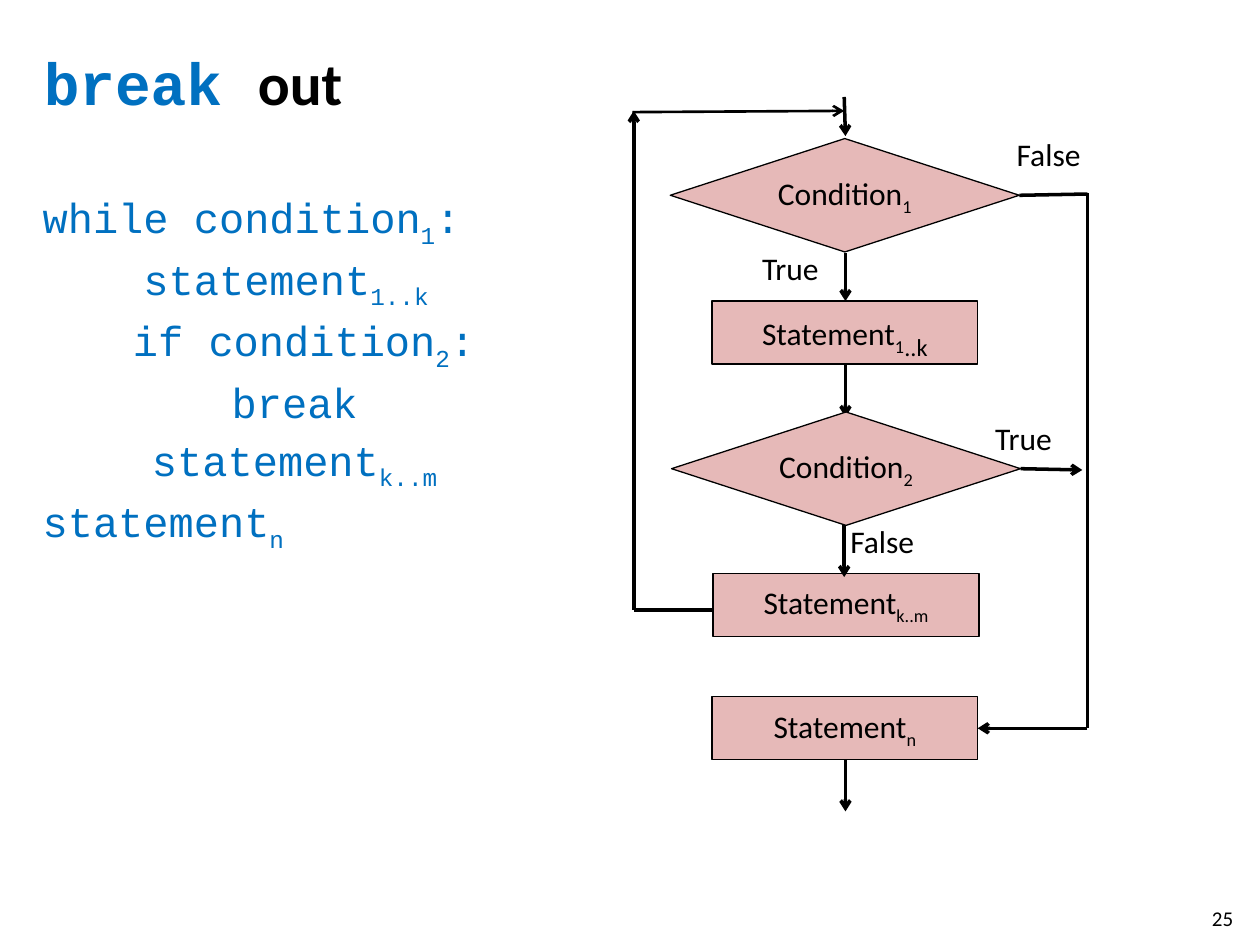
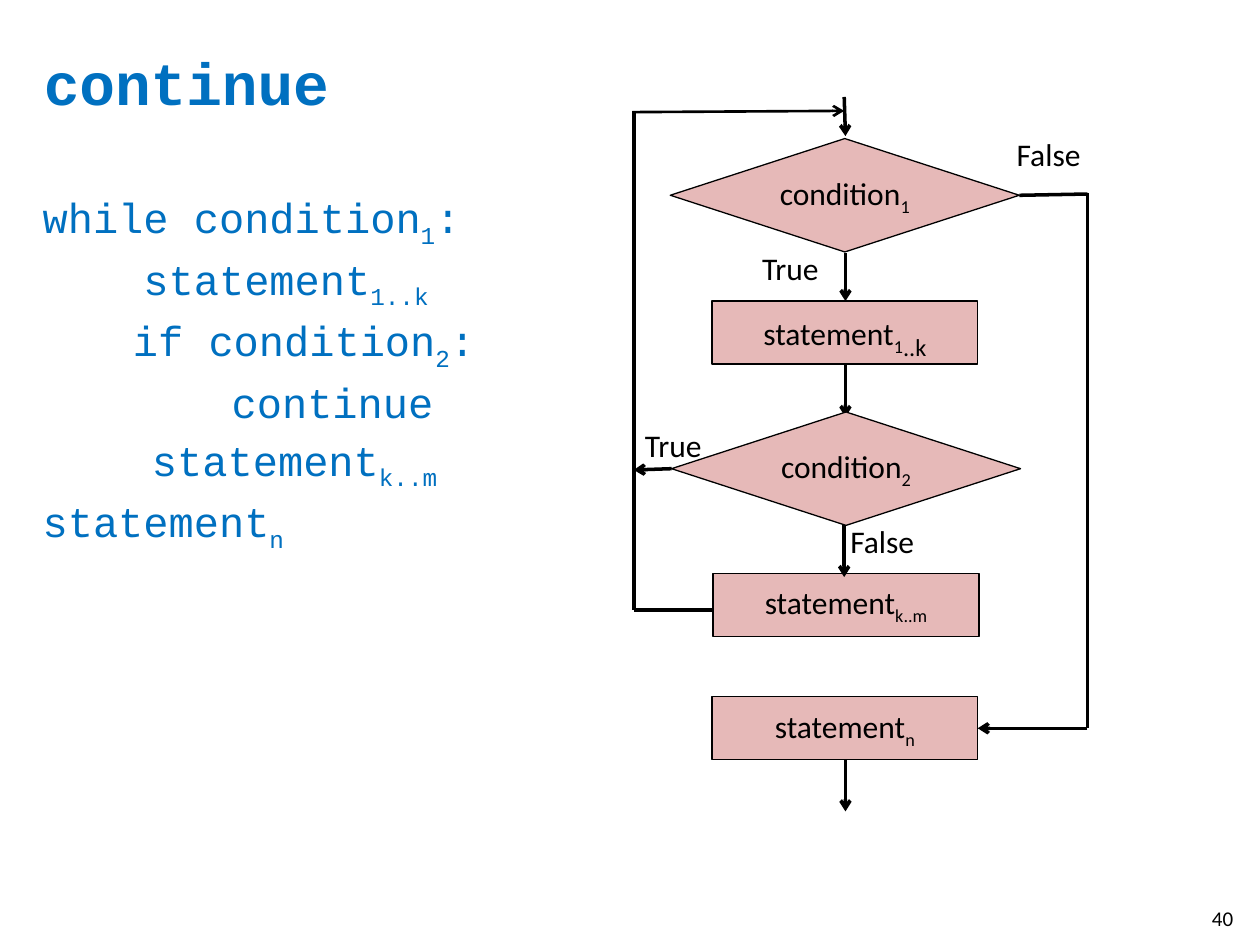
from dataclasses import dataclass
from itertools import pairwise

from lxml.etree import SubElement
from pptx import Presentation
from pptx.dml.color import RGBColor
from pptx.enum.shapes import MSO_CONNECTOR, MSO_SHAPE
from pptx.enum.text import MSO_ANCHOR, PP_ALIGN
from pptx.oxml.ns import qn
from pptx.util import Inches, Pt

HUES = {"ink": "000000", "code": "0070C0", "node": "E6B9B8"}
SANS, MONO = "Calibri", "Courier New"
BOX, ASK = MSO_SHAPE.RECTANGLE, MSO_SHAPE.FLOWCHART_DECISION
SIZES = {BOX: (2.11, 0.5), ASK: (2.77, 0.9)}


@dataclass
class Bit:
    text: str
    size: float = 18
    sub: bool = False
    face: str = SANS
    hue: str = "ink"
    bold: bool = False


@dataclass
class Node:
    kind: MSO_SHAPE
    left: float
    top: float
    name: str
    subs: list[Bit]


@dataclass
class Route:
    spots: list[tuple[float, float]]
    head: bool = True
    width: float = 2


@dataclass
class Label:
    text: str
    left: float
    top: float


@dataclass
class Page:
    title: list[Bit]
    number: str
    word: str
    names: tuple[str, str]
    back: bool
    exit: Label
    jump: Route


def color(hue: str) -> RGBColor:
    return RGBColor.from_string(HUES[hue])


def write(para, bits: list[Bit]) -> None:
    for bit in bits:
        run = para.add_run()
        run.text = bit.text
        font = run.font
        font.name, font.size, font.bold = bit.face, Pt(bit.size), bit.bold
        font.color.rgb = color(bit.hue)
        if bit.sub:
            run._r.get_or_add_rPr().set("baseline", "-25000")


def add_text(slide, at: tuple, bits: list[Bit], wrap: bool = False):
    frame = slide.shapes.add_textbox(*map(Inches, at)).text_frame
    frame.word_wrap = wrap
    write(frame.paragraphs[0], bits)
    return frame


def add_node(slide, node: Node) -> None:
    place = (node.left, node.top, *SIZES[node.kind])
    shape = slide.shapes.add_shape(node.kind, *map(Inches, place))
    shape.shadow.inherit = False
    shape.fill.solid()
    shape.fill.fore_color.rgb = color("node")
    shape.line.color.rgb = color("ink")
    shape.line.width = Pt(0.75)
    frame = shape.text_frame
    frame.vertical_anchor = MSO_ANCHOR.MIDDLE
    frame.paragraphs[0].alignment = PP_ALIGN.CENTER
    write(frame.paragraphs[0], [Bit(node.name), *node.subs])


def add_route(slide, route: Route) -> None:
    for start, end in pairwise(route.spots):
        line = slide.shapes.add_connector(
            MSO_CONNECTOR.STRAIGHT, *map(Inches, (*start, *end)))
        line.line.color.rgb = color("ink")
        line.line.width = Pt(route.width)
        props = line._element.spPr
        SubElement(props, qn("a:effectLst"))
        if route.head and end == route.spots[-1]:
            SubElement(props.find(qn("a:ln")), qn("a:tailEnd"), type="arrow")


def code(text: str, sub: bool = False, size: float = 24) -> Bit:
    return Bit(text, size, sub, MONO, "code")


def add_code(slide, word: str) -> None:
    rows = [
        [code("while condition"), code("1", True), code(":")],
        [code("    statement"), code("1..k", True)],
        [code(" ", True), code("   if condition"), code("2", True), code(":")],
        [code("     " + word)],
        [code("    ", size=26), code("statement"), code("k..m", True)],
        [code("statement"), code("n", True)],
    ]
    frame = add_text(slide, (0.24, 1.42, 4.7, 3), rows[0], True)
    frame.margin_top = Inches(0.1)
    for row in rows[1:]:
        para = frame.add_paragraph()
        para.space_before = Pt(2.4)
        if row == rows[3]:
            para._p.get_or_add_pPr().set("marL", str(Inches(0.5)))
        write(para, row)


def add_flow(slide, page: Page) -> None:
    ask, act = page.names
    nodes = [
        Node(BOX, 5.65, 2.39, act, [Bit("1", sub=True), Bit("..k", 24, True)]),
        Node(ASK, 5.32, 1.1, ask, [Bit("1", sub=True)]),
        Node(BOX, 5.65, 5.53, act, [Bit("n", sub=True)]),
        Node(ASK, 5.33, 3.27, ask, [Bit("2", sub=True)]),
        Node(BOX, 5.66, 4.55, act, [Bit("k..m", sub=True)]),
    ]
    routes = [
        Route([(6.7, 0.77), (6.71, 1.08)]),
        Route([(6.71, 2.01), (6.71, 2.39)]),
        Route([(6.7, 4.17), (6.7, 4.58)]),
        Route([(6.71, 6.03), (6.71, 6.44)]),
        # Loop back to the first test
        Route([(5.65, 4.84), (5.03, 4.84), (5.03, 0.88)], page.back),
        Route([(5.02, 0.89), (6.7, 0.88)], width=1.5),
        # Way out of the loop
        Route([(8.09, 1.55), (8.63, 1.54)], False),
        Route([(8.63, 1.53), (8.63, 5.78), (7.76, 5.78)]),
        page.jump,
    ]
    labels = [Label("True", 5.95, 1.93), Label("False", 7.97, 1.02),
              Label("False", 6.65, 4.09), page.exit]

    # This arrow's tip sits beneath the second test
    add_route(slide, Route([(6.71, 2.89), (6.71, 3.31)]))
    for node in nodes:
        add_node(slide, node)
    for route in routes:
        add_route(slide, route)
    for label in labels:
        add_text(slide, (label.left, label.top, 0.81, 0.4), [Bit(label.text)])


def add_page(deck, page: Page) -> None:
    slide = deck.slides.add_slide(deck.slide_layouts[6])
    head = add_text(slide, (0.25, 0.3, 8.67, 0.7), page.title, True)
    head.vertical_anchor = MSO_ANCHOR.MIDDLE
    add_code(slide, page.word)
    add_flow(slide, page)
    add_text(slide, (9.52, 7.14, 0.4, 0.24), [Bit(page.number, 12)])


def main() -> None:
    deck = Presentation()
    deck.slide_width, deck.slide_height = Inches(10), Inches(7.5)
    pages = [
        Page([Bit("break ", 34, face=MONO, hue="code", bold=True),
              Bit("out", 34, bold=True)],
             "25", "break", ("Condition", "Statement"), True,
             Label("True", 7.8, 3.28), Route([(8.1, 3.72), (8.59, 3.73)])),
        Page([Bit("continue", 34, face=MONO, hue="code", bold=True)],
             "40", "continue", ("condition", "statement"), False,
             Label("True", 5.02, 3.33), Route([(5.33, 3.72), (5.03, 3.73)])),
    ]
    for page in pages:
        add_page(deck, page)
    deck.save("out.pptx")


if __name__ == "__main__":
    main()
